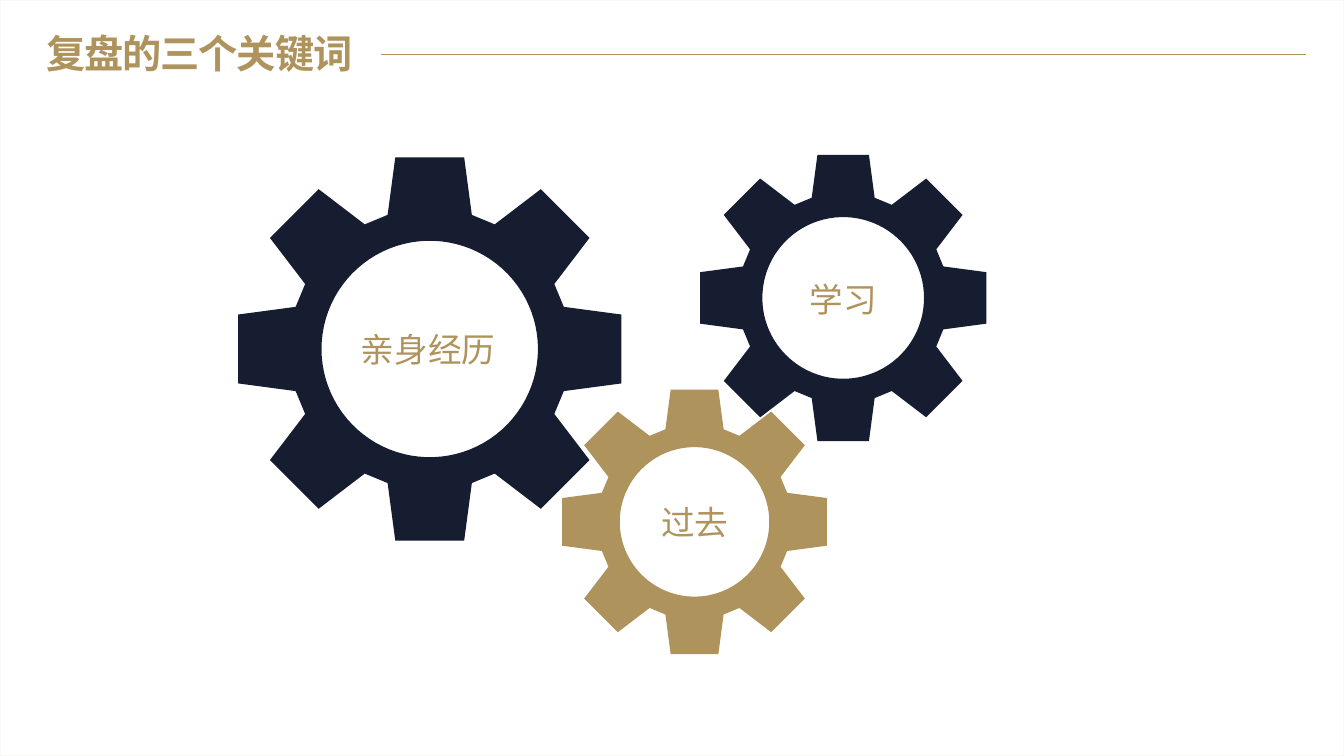
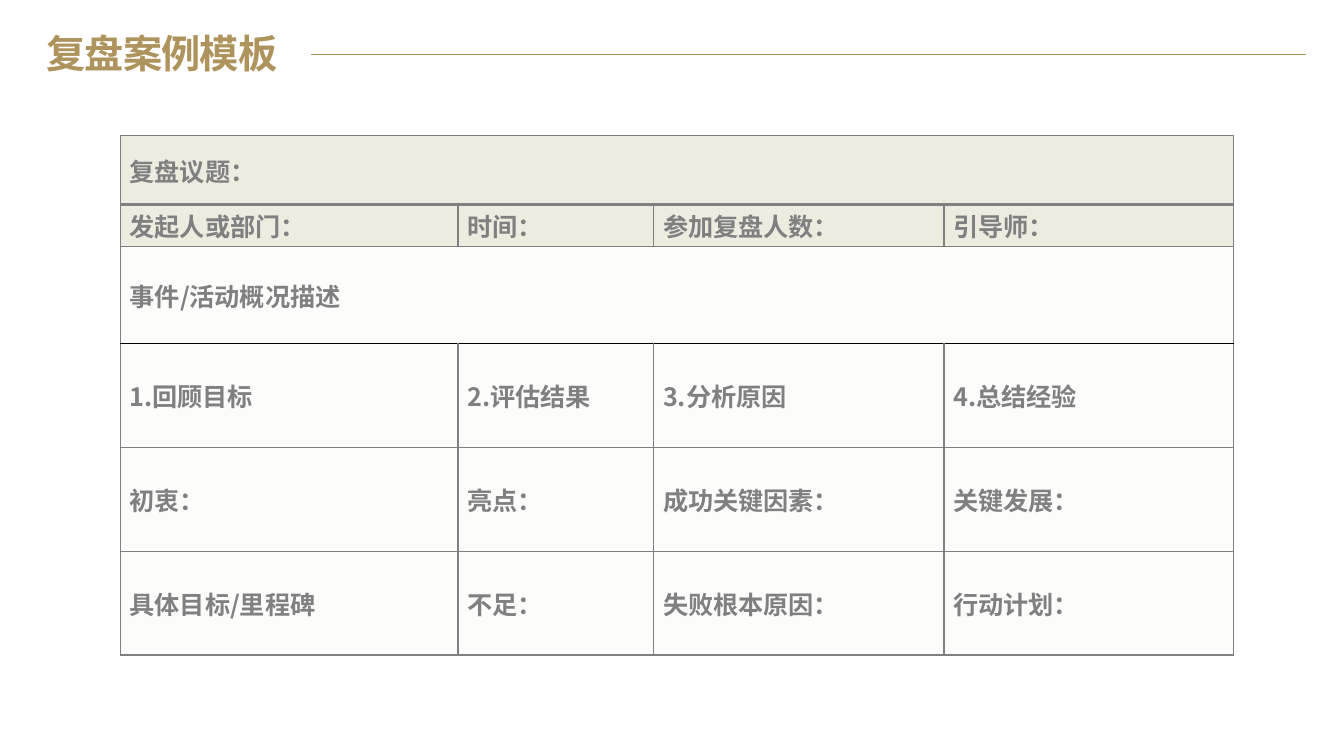
from math import cos, pi, sin

from lxml import etree
from pptx import Presentation
from pptx.dml.color import RGBColor
from pptx.enum.shapes import MSO_CONNECTOR, MSO_SHAPE
from pptx.enum.text import MSO_ANCHOR, MSO_AUTO_SIZE, PP_ALIGN
from pptx.oxml.ns import qn
from pptx.util import Pt

MIDDLE = MSO_ANCHOR.MIDDLE
LEFT = PP_ALIGN.LEFT
NO_AUTOFIT = MSO_AUTO_SIZE.NONE
STRAIGHT = MSO_CONNECTOR.STRAIGHT
RECTANGLE = MSO_SHAPE.RECTANGLE

GOLD = RGBColor(0xAF, 0x93, 0x5C)
NAVY = RGBColor(0x16, 0x1D, 0x30)
GRAY = RGBColor(0x80, 0x80, 0x80)
BLACK = RGBColor(0x00, 0x00, 0x00)
CREAM = RGBColor(0xEE, 0xEC, 0xE1)
PALE = RGBColor(0xFC, 0xFC, 0xFB)
EDGE = RGBColor(0xF8, 0xF8, 0xF7)

FONT = "Noto Sans CJK SC"
WIDTH, HEIGHT = 960, 540
TOOTH = [(0.7, -0.22), (1, -0.18), (1, 0.18), (0.7, 0.22)]
TEETH = 8
HOLE = 0.565
HOLE_STEPS = 90


def write(frame, text, size, color, bold=False, spacing=0):
    frame.text = text
    paragraph = frame.paragraphs[0]
    paragraph.alignment = LEFT
    font = paragraph.runs[0].font
    font.size = Pt(size)
    font.bold = bold
    font.color.rgb = color
    font.name = FONT
    properties = paragraph.runs[0]._r.get_or_add_rPr()
    properties.set("spc", str(spacing))
    etree.SubElement(properties, qn("a:ea"), typeface=FONT)


def set_frame(frame):
    frame.margin_left = frame.margin_right = 0
    frame.margin_top = frame.margin_bottom = 0
    frame.vertical_anchor = MIDDLE
    frame.word_wrap = True
    frame.auto_size = NO_AUTOFIT


deck = Presentation()
deck.slide_width, deck.slide_height = Pt(WIDTH), Pt(HEIGHT)

pages = []
for title, spacing, rule_left in [
    ("复盘的三个关键词", -70, 272),
    ("复盘案例模板", -50, 222),
]:
    page = deck.slides.add_slide(deck.slide_layouts[5])
    heading = page.shapes.title
    heading.left, heading.top = Pt(33), Pt(21)
    heading.width, heading.height = Pt(273), Pt(34)
    set_frame(heading.text_frame)
    write(heading.text_frame, title, 28, GOLD, True, spacing)
    rule = page.shapes.add_connector(STRAIGHT, Pt(rule_left), Pt(39), Pt(933), Pt(39))
    rule.line.color.rgb = GOLD
    rule.line.width = Pt(1)
    etree.SubElement(rule._element.spPr, qn("a:effectLst"))
    pages.append(page)

gear_page, table_page = pages

border = gear_page.shapes.add_shape(RECTANGLE, 0, 0, Pt(WIDTH), Pt(HEIGHT))
border.shadow.inherit = False
border.fill.background()
border.line.color.rgb = EDGE
border.line.width = Pt(0.96)

hole_points = [
    (HOLE * cos(2 * pi * step / HOLE_STEPS), HOLE * sin(2 * pi * step / HOLE_STEPS))
    for step in range(HOLE_STEPS)
]
rim_points = []
for tooth in range(TEETH):
    angle = 2 * pi * tooth / TEETH
    for along, across in TOOTH:
        rim_points.append((
            along * cos(angle) - across * sin(angle),
            along * sin(angle) + across * cos(angle),
        ))

for label, center_x, center_y, radius, color, left, top, width in [
    ("亲身经历", 307, 249.3, 136.8, NAVY, 257.8, 234.7, 114.5),
    ("过去", 496.1, 372.8, 94.5, GOLD, 472.3, 358.6, 49.7),
    ("学习", 602.3, 212.8, 102.2, NAVY, 578.2, 199.4, 49.7),
]:
    contours = [
        [(Pt(center_x + radius * x), Pt(center_y + radius * y)) for x, y in points]
        for points in (rim_points, hole_points)
    ]
    rim, hole = contours
    outline = gear_page.shapes.build_freeform(*rim[0])
    outline.add_line_segments(rim[1:])
    outline.move_to(*hole[0])
    outline.add_line_segments(hole[1:])
    gear = outline.convert_to_shape()
    gear.shadow.inherit = False
    gear.fill.solid()
    gear.fill.fore_color.rgb = color
    gear.line.fill.background()

    box = gear_page.shapes.add_textbox(Pt(left), Pt(top), Pt(width), Pt(28.8))
    set_frame(box.text_frame)
    write(box.text_frame, label, 24, GOLD)

column_widths = [241.2, 139.7, 207.4, 206.6]
row_heights = [49, 30.2, 69.4, 74.1, 74.1, 74.1]
row_rules = [
    (GRAY, 1), (GRAY, 3), (GRAY, 1), (BLACK, 0.75), (GRAY, 1), (GRAY, 1), (GRAY, 1),
]
rows = [
    ["复盘议题："],
    ["发起人或部门：", "时间：", "参加复盘人数：", "引导师："],
    ["事件/活动概况描述"],
    ["1.回顾目标", "2.评估结果", "3.分析原因", "4.总结经验"],
    ["初衷：", "亮点：", "成功关键因素：", "关键发展："],
    ["具体目标/里程碑", "不足：", "失败根本原因：", "行动计划："],
]
table = table_page.shapes.add_table(
    len(rows), len(column_widths), Pt(86), Pt(97),
    Pt(sum(column_widths)), Pt(sum(row_heights)),
).table
table.first_row = table.horz_banding = False
for column, width in zip(table.columns, column_widths):
    column.width = Pt(width)

for row_index, texts in enumerate(rows):
    table.rows[row_index].height = Pt(row_heights[row_index])
    for column_index in range(len(column_widths)):
        cell = table.cell(row_index, column_index)
        cell.margin_left = Pt(6.8)
        cell.margin_right = cell.margin_top = cell.margin_bottom = 0
        cell.vertical_anchor = MIDDLE
        for side, (color, weight) in [
            ("lnL", (GRAY, 1)),
            ("lnR", (GRAY, 1)),
            ("lnT", row_rules[row_index]),
            ("lnB", row_rules[row_index + 1]),
        ]:
            line = etree.SubElement(
                cell._tc.get_or_add_tcPr(), qn("a:" + side), w=str(Pt(weight))
            )
            fill = etree.SubElement(line, qn("a:solidFill"))
            etree.SubElement(fill, qn("a:srgbClr"), val=str(color))
        cell.fill.solid()
        cell.fill.fore_color.rgb = CREAM if row_index < 2 else PALE
        if column_index < len(texts):
            write(cell.text_frame, texts[column_index], 18, GRAY, True, -10)
    if len(texts) == 1:
        table.cell(row_index, 0).merge(table.cell(row_index, len(column_widths) - 1))

deck.save("out.pptx")
